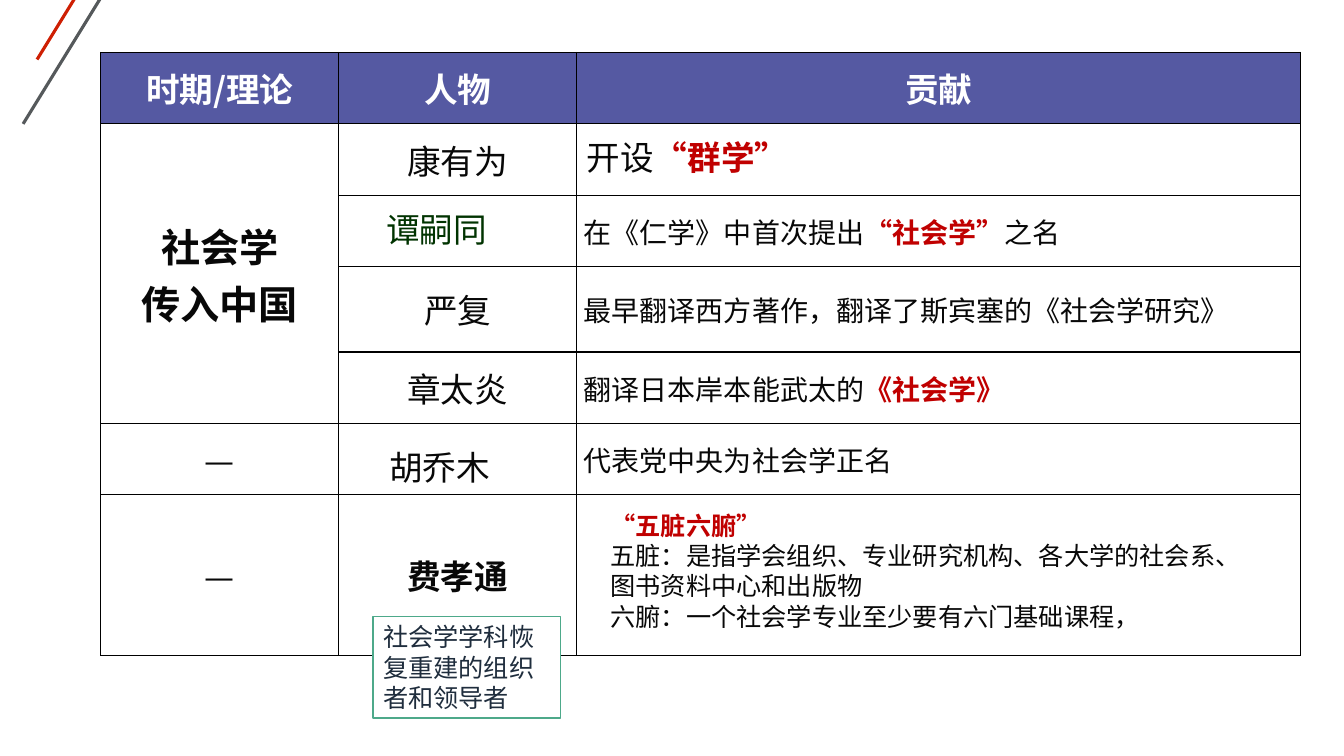
import pptx
import pptx.dml.color
import pptx.enum.shapes
import pptx.enum.text
import pptx.oxml
import pptx.util
from lxml import etree

Pt = pptx.util.Pt
ALIGN = pptx.enum.text.PP_ALIGN
ANCHOR = pptx.enum.text.MSO_ANCHOR

COLORS = {
    "header": "5559A2", "white": "FFFFFF", "ink": "080808", "key": "C00000",
    "green": "003300", "note": "1F2D3D", "note_line": "4DA98A",
    "border": "000000", "gray": "55595B", "red": "CE1F03",
}
CJK = "Noto Sans CJK SC"
COLUMNS = [170, 170, 517]
ROWS = [51, 51, 51, 61, 51, 51, 114.5]

# A run is (text, colour, bold); a paragraph is a list of runs.
HEADERS = ["时期/理论", "人物", "贡献"]
PERIODS = {1: (["社会学", "传入中国"], 28, True), 5: (["—"], 24, False), 6: (["—"], 24, False)}
PEOPLE = {1: ("康有为", False), 3: ("严复", False), 4: ("章太炎", False), 6: ("费孝通", True)}
CONTRIBUTIONS = {
    2: [("在《仁学》中首次提出", "ink", False), ("“社会学”", "key", True), ("之名", "ink", False)],
    3: [("最早翻译西方著作，翻译了斯宾塞的《社会学研究》", "ink", False)],
    4: [("翻译日本岸本能武太的", "ink", False), ("《社会学》", "key", True)],
    5: [("代表党中央为社会学正名", "ink", False)],
}
ORGANS = [
    [("“五脏六腑”", "key", True)],
    [("五脏：是指学会组织、专业研究机构、各大学的社会系、图书资料中心和出版物", "ink", False)],
    [("六腑：一个社会学专业至少要有六门基础课程，", "ink", False)],
]


def rgb(name):
    return pptx.dml.color.RGBColor.from_string(COLORS[name])


def write(tf, paragraphs, size, align=ALIGN.LEFT, font=CJK, spacing=None):
    """Fill a text frame with paragraphs made of (text, colour, bold) runs."""
    for i, runs in enumerate(paragraphs):
        p = tf.paragraphs[0] if i == 0 else tf.add_paragraph()
        p.alignment = align
        if spacing:
            p.line_spacing = Pt(spacing)
        for text, color, bold in runs:
            r = p.add_run()
            r.text = text
            r.font.size = Pt(size)
            r.font.bold = bold
            r.font.name = font
            r.font.color.rgb = rgb(color)
            ea = etree.SubElement(r.font._element, pptx.oxml.ns.qn("a:ea"))
            ea.set("typeface", CJK)


def border(cell):
    tcPr = cell._tc.get_or_add_tcPr()
    for side in ("lnL", "lnR", "lnT", "lnB"):
        tcPr.append(pptx.oxml.parse_xml(
            f'<a:{side} {pptx.oxml.ns.nsdecls("a")} w="12700"><a:solidFill>'
            f'<a:srgbClr val="{COLORS["border"]}"/></a:solidFill></a:{side}>'))


def add_corner_lines(s, x, y):
    """Draw the two parallel slanting strokes at the top left."""
    for dx, dy, color in ((0, 0, "gray"), (10, -46, "red")):
        line = s.shapes.add_connector(
            pptx.enum.shapes.MSO_CONNECTOR.STRAIGHT,
            Pt(x + dx + 85), Pt(y + dy - 138), Pt(x + dx), Pt(y + dy))
        line.line.color.rgb = rgb(color)
        line.line.width = Pt(2.25)
        etree.SubElement(line._element.spPr, pptx.oxml.ns.qn("a:effectLst"))


def add_people_table(s, x, y):
    table = s.shapes.add_table(len(ROWS), len(COLUMNS), Pt(x), Pt(y),
                               Pt(sum(COLUMNS)), Pt(sum(ROWS))).table
    table.first_row = table.horz_banding = False
    for column, width in zip(table.columns, COLUMNS):
        column.width = Pt(width)
    for row, height in zip(table.rows, ROWS):
        row.height = Pt(height)
    for i in range(len(ROWS)):
        for j in range(len(COLUMNS)):
            cell = table.cell(i, j)
            border(cell)
            cell.margin_left = cell.margin_right = Pt(5)
            cell.margin_top = cell.margin_bottom = 0
            cell.vertical_anchor = ANCHOR.MIDDLE
            if i == 0:
                cell.fill.solid()
                cell.fill.fore_color.rgb = rgb("header")
            else:
                cell.fill.background()
    table.cell(1, 0).merge(table.cell(4, 0))

    for j, text in enumerate(HEADERS):
        write(table.cell(0, j).text_frame, [[(text, "white", True)]], 24, ALIGN.CENTER)
    for i, (lines, size, bold) in PERIODS.items():
        write(table.cell(i, 0).text_frame, [[(line, "ink", bold)] for line in lines],
              size, ALIGN.CENTER)
    for i, (name, bold) in PEOPLE.items():
        write(table.cell(i, 1).text_frame, [[(name, "ink", bold)]], 24, ALIGN.CENTER)
    for i, runs in CONTRIBUTIONS.items():
        write(table.cell(i, 2).text_frame, [runs], 20)


def add_text(s, x, y, w, h, paragraphs, size, align=ALIGN.LEFT, wrap=False):
    tf = s.shapes.add_textbox(Pt(x), Pt(y), Pt(w), Pt(h)).text_frame
    tf.word_wrap = wrap
    write(tf, paragraphs, size, align, spacing=size * 1.2)


def add_note(s, x, y, w, h, text):
    sp = s.shapes.add_shape(pptx.enum.shapes.MSO_SHAPE.RECTANGLE, Pt(x), Pt(y), Pt(w), Pt(h))
    sp.shadow.inherit = False
    sp.fill.solid()
    sp.fill.fore_color.rgb = rgb("white")
    sp.line.color.rgb = rgb("note_line")
    sp.line.width = Pt(1)
    tf = sp.text_frame
    tf.word_wrap = True
    tf.vertical_anchor = ANCHOR.TOP
    write(tf, [[(text, "note", False)]], 18, font="Roboto", spacing=21.6)


def main():
    prs = pptx.Presentation()
    prs.slide_width, prs.slide_height = Pt(960), Pt(540)
    s = prs.slides.add_slide(prs.slide_layouts[6])
    add_corner_lines(s, 16.5, 88.5)
    add_people_table(s, 72, 37.5)
    add_text(s, 412, 94.5, 160, 36, [[("开设", "ink", False), ("“群学”", "key", True)]], 24)
    add_text(s, 268.5, 145.5, 87, 36, [[("谭嗣同", "green", False)]], 24, ALIGN.CENTER)
    add_text(s, 270.5, 315.5, 87, 36, [[("胡乔木", "ink", False)]], 24, ALIGN.CENTER)
    add_text(s, 429, 361, 476, 116.5, ORGANS, 18, wrap=True)
    add_note(s, 266.5, 440.5, 134, 72.5, "社会学学科恢复重建的组织者和领导者")
    prs.save("out.pptx")


if __name__ == "__main__":
    main()
